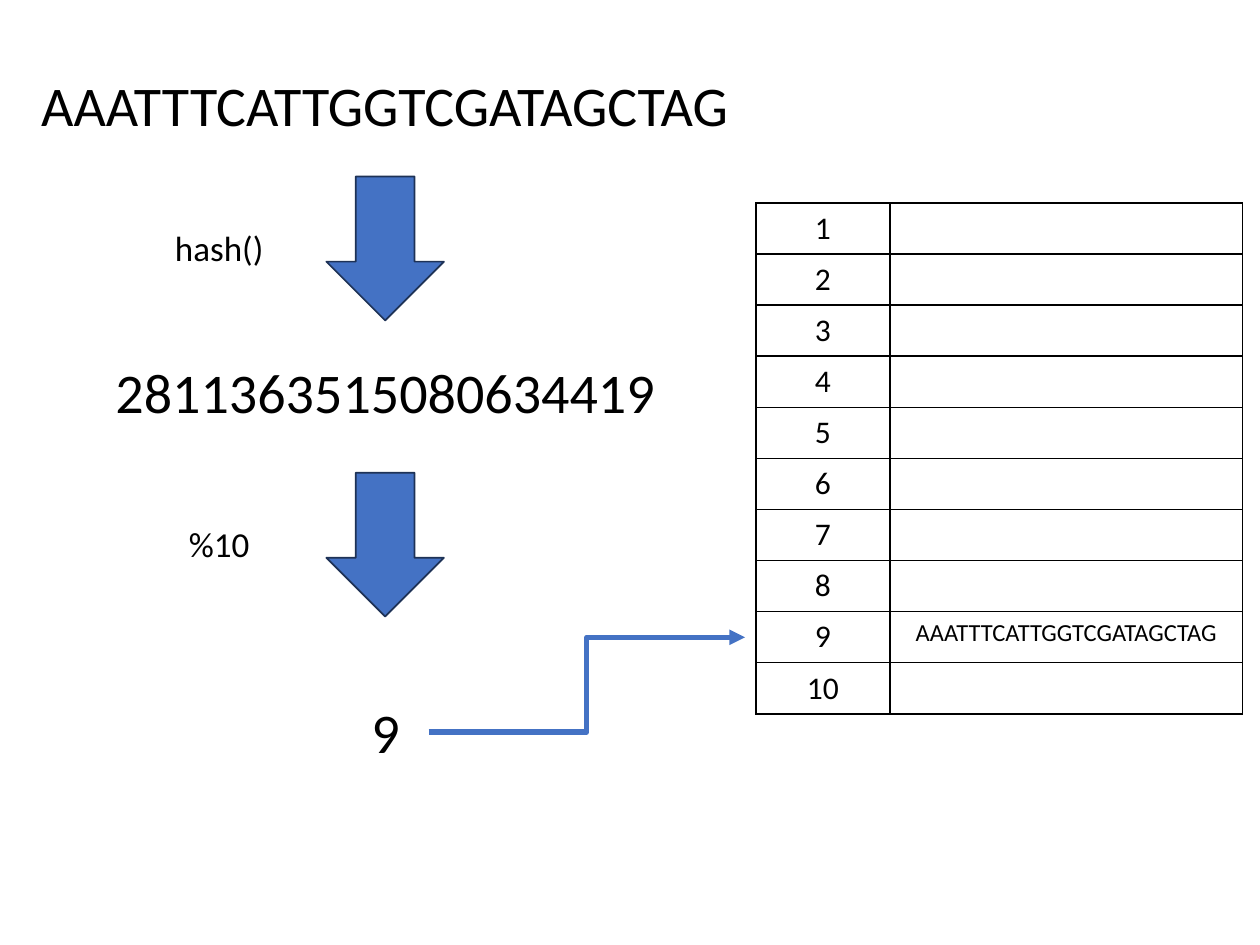
from lxml import etree
from pptx import Presentation
from pptx.dml.color import RGBColor
from pptx.enum.shapes import MSO_CONNECTOR, MSO_SHAPE
from pptx.enum.text import MSO_AUTO_SIZE, PP_ALIGN
from pptx.oxml.ns import qn
from pptx.util import Cm, Pt

CENTER = PP_ALIGN.CENTER
DOWN_ARROW = MSO_SHAPE.DOWN_ARROW
ELBOW = MSO_CONNECTOR.ELBOW
FIT_SHAPE = MSO_AUTO_SIZE.SHAPE_TO_FIT_TEXT

COLOURS = {"text": "000000", "arrow": "4472C4", "outline": "1E3256"}
SEQUENCE = "AAATTTCATTGGTCGATAGCTAG"
HASH_VALUE = "2811363515080634419"
BUCKET_COUNT = 10
BUCKET = 9


class HashSlide:
    font = "Calibri"

    def __init__(self, slide):
        self.slide = slide

    def colour(self, name):
        return RGBColor.from_string(COLOURS[name])

    def add_text_run(self, frame, text, size):
        paragraph = frame.paragraphs[0]
        paragraph.alignment = CENTER
        run = paragraph.add_run()
        run.text = text
        run.font.name = self.font
        run.font.size = Pt(size)
        run.font.color.rgb = self.colour("text")

    def text_box(self, text, left, top, width, height, size, wrap=True):
        box = self.slide.shapes.add_textbox(Cm(left), Cm(top), Cm(width), Cm(height))
        box.text_frame.word_wrap = wrap
        box.text_frame.auto_size = FIT_SHAPE
        self.add_text_run(box.text_frame, text, size)

    def down_arrow(self, left, top, width, height):
        shape = self.slide.shapes.add_shape(
            DOWN_ARROW, Cm(left), Cm(top), Cm(width), Cm(height))
        shape.shadow.inherit = False
        shape.fill.solid()
        shape.fill.fore_color.rgb = self.colour("arrow")
        shape.line.color.rgb = self.colour("outline")
        shape.line.width = Pt(1)

    def border(self, cell):
        properties = cell._tc.get_or_add_tcPr()
        for position, side in enumerate(("a:lnL", "a:lnR", "a:lnT", "a:lnB")):
            line = etree.Element(qn(side), w=str(Pt(1)))
            fill = etree.SubElement(line, qn("a:solidFill"))
            etree.SubElement(fill, qn("a:srgbClr"), val=COLOURS["text"])
            properties.insert(position, line)

    def bucket_table(self, left, top, column_widths, row_height, entries):
        table = self.slide.shapes.add_table(
            BUCKET_COUNT, len(column_widths), Cm(left), Cm(top),
            Cm(sum(column_widths)), Cm(row_height * BUCKET_COUNT)).table
        table.first_row = False
        table.horz_banding = False
        for column, width in zip(table.columns, column_widths):
            column.width = Cm(width)
        for number, row in enumerate(table.rows, start=1):
            row.height = Cm(row_height)
            for cell in row.cells:
                cell.fill.background()
                self.border(cell)
            self.add_text_run(row.cells[0].text_frame, str(number), 18)
            if number in entries:
                self.add_text_run(row.cells[1].text_frame, entries[number], 14)

    def elbow_arrow(self, start, end):
        connector = self.slide.shapes.add_connector(
            ELBOW, *(Cm(value) for value in start + end))
        connector.line.color.rgb = self.colour("arrow")
        connector.line.width = Pt(3)
        etree.SubElement(connector.line._get_or_add_ln(), qn("a:tailEnd"), type="triangle")
        etree.SubElement(connector._element.spPr, qn("a:effectLst"))


def main():
    presentation = Presentation()
    presentation.slide_width, presentation.slide_height = Cm(25.4), Cm(19.05)
    slide = HashSlide(presentation.slides.add_slide(presentation.slide_layouts[6]))

    # Sequence, its hash and the bucket number
    slide.text_box(SEQUENCE, 0.51, 1.3, 14.5, 1.62, 32, wrap=False)
    slide.text_box(HASH_VALUE, 1.42, 7.09, 12.7, 1.62, 32)
    slide.text_box(str(BUCKET), 6.91, 13.94, 1.73, 1.62, 32)

    # Labelled steps between them
    for label, top in (("hash()", 3.56), (f"%{BUCKET_COUNT}", 9.53)):
        slide.text_box(label, 3.12, top + 0.88, 2.6, 1.11, 20)
        slide.down_arrow(6.58, top, 2.37, 2.9)

    # Hash table and the arrow to the chosen bucket
    slide.bucket_table(15.24, 4.09, (2.7, 7.11), 1.03, {BUCKET: SEQUENCE})
    slide.elbow_arrow((8.64, 14.76), (15.02, 12.85))

    presentation.save("out.pptx")


if __name__ == "__main__":
    main()
